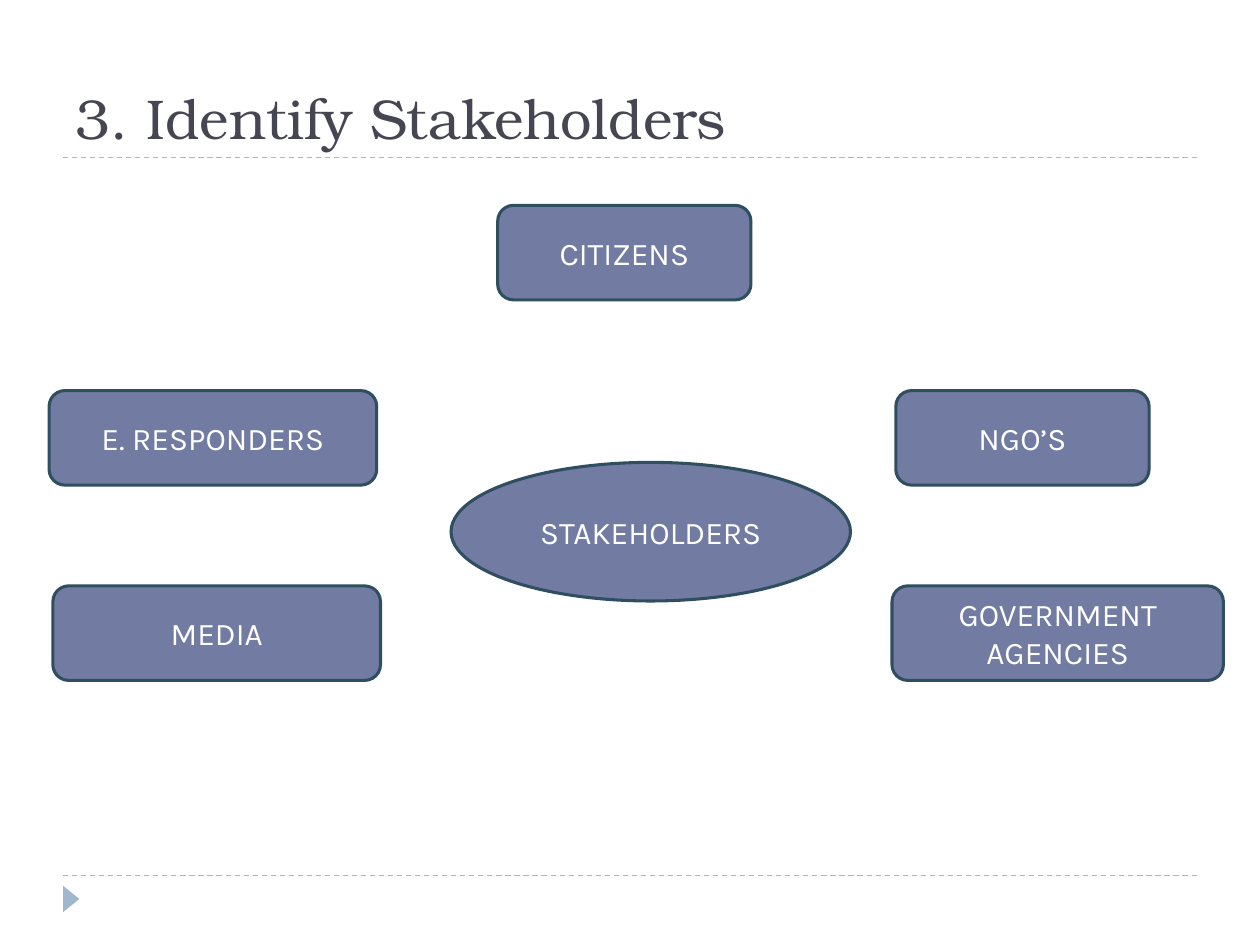
from dataclasses import dataclass

from pptx import Presentation
from pptx.dml.color import RGBColor
from pptx.enum.dml import MSO_LINE_DASH_STYLE as Dash
from pptx.enum.shapes import MSO_CONNECTOR as Connector, MSO_SHAPE as Shape
from pptx.enum.text import MSO_ANCHOR as Anchor, MSO_AUTO_SIZE as AutoSize, PP_ALIGN as Align
from pptx.oxml.ns import qn
from pptx.util import Inches, Pt


@dataclass(frozen=True)
class Theme:
    title_color: RGBColor = RGBColor.from_string("464653")
    accent: RGBColor = RGBColor.from_string("9FB8CD")
    node_fill: RGBColor = RGBColor.from_string("727CA3")
    node_line: RGBColor = RGBColor.from_string("2F4E60")
    node_text: RGBColor = RGBColor.from_string("FFFFFF")
    title_font: str = "TeX Gyre Bonum"
    body_font: str = "Karla"
    title_size: Pt = Pt(32)
    body_size: Pt = Pt(18)
    rule_width: Pt = Pt(0.75)
    node_width: Pt = Pt(1.75)


class SlideBuilder:
    """Places elements on a grid of 10 columns and 7.5 rows."""

    COLUMNS = 10

    def __init__(self, presentation, theme):
        self.theme = theme
        self.unit = presentation.slide_width / self.COLUMNS
        self.slide = presentation.slides.add_slide(presentation.slide_layouts[5])

    def grid(self, *cells):
        return [round(cell * self.unit) for cell in cells]

    def title(self, text, *box):
        shape = self.slide.shapes.title
        shape.left, shape.top, shape.width, shape.height = self.grid(*box)
        frame = shape.text_frame
        frame.text = text
        frame.auto_size = AutoSize.NONE
        frame.vertical_anchor = Anchor.BOTTOM
        paragraph = frame.paragraphs[0]
        paragraph.alignment = Align.LEFT
        self.style_font(paragraph.font, self.theme.title_font,
                        self.theme.title_size, self.theme.title_color)

    def style_font(self, font, name, size, color):
        font.name, font.size = name, size
        font.color.rgb = color

    def rule(self, left, right, row):
        connector = self.slide.shapes.add_connector(
            Connector.STRAIGHT, *self.grid(left, row, right, row))
        connector.line.color.rgb = self.theme.accent
        connector.line.width = self.theme.rule_width
        connector.line.dash_style = Dash.DASH
        properties = connector._element.spPr
        properties.append(properties.makeelement(qn("a:effectLst"), {}))

    def marker(self, *box):
        shape = self.slide.shapes.add_shape(Shape.ISOSCELES_TRIANGLE, *self.grid(*box))
        shape.rotation = 90
        shape.shadow.inherit = False
        shape.fill.solid()
        shape.fill.fore_color.rgb = self.theme.accent
        shape.line.fill.background()

    def node(self, text, *box, kind=Shape.ROUNDED_RECTANGLE):
        shape = self.slide.shapes.add_shape(kind, *self.grid(*box))
        shape.shadow.inherit = False
        shape.fill.solid()
        shape.fill.fore_color.rgb = self.theme.node_fill
        shape.line.color.rgb = self.theme.node_line
        shape.line.width = self.theme.node_width
        frame = shape.text_frame
        frame.text = text
        frame.word_wrap = True
        frame.vertical_anchor = Anchor.MIDDLE
        paragraph = frame.paragraphs[0]
        paragraph.alignment = Align.CENTER
        self.style_font(paragraph.font, self.theme.body_font,
                        self.theme.body_size, self.theme.node_text)


def main():
    presentation = Presentation()
    presentation.slide_width, presentation.slide_height = Inches(10), Inches(7.5)
    builder = SlideBuilder(presentation, Theme())

    # Title and page rules
    for row in (6.95, 1.25):
        builder.rule(0.5, 9.5, row)
    builder.marker(0.46, 7.07, 0.21, 0.13)
    builder.title("3. Identify Stakeholders", 0.5, 0.17, 9, 1.08)

    # Central topic
    builder.node("STAKEHOLDERS", 3.58, 3.67, 3.17, 1.1, kind=Shape.OVAL)

    # Stakeholder groups: label, left, top, width
    top_row, middle_row, bottom_row = 1.63, 3.1, 4.65
    node_height = 0.75
    groups = [
        ("E. RESPONDERS", 0.39, middle_row, 2.6),
        ("MEDIA", 0.42, bottom_row, 2.6),
        ("GOVERNMENT AGENCIES", 7.08, bottom_row, 2.63),
        ("NGO’S", 7.11, middle_row, 2.01),
        ("CITIZENS", 3.95, top_row, 2.01),
    ]
    for label, left, top, width in groups:
        builder.node(label, left, top, width, node_height)

    presentation.save("out.pptx")


if __name__ == "__main__":
    main()
